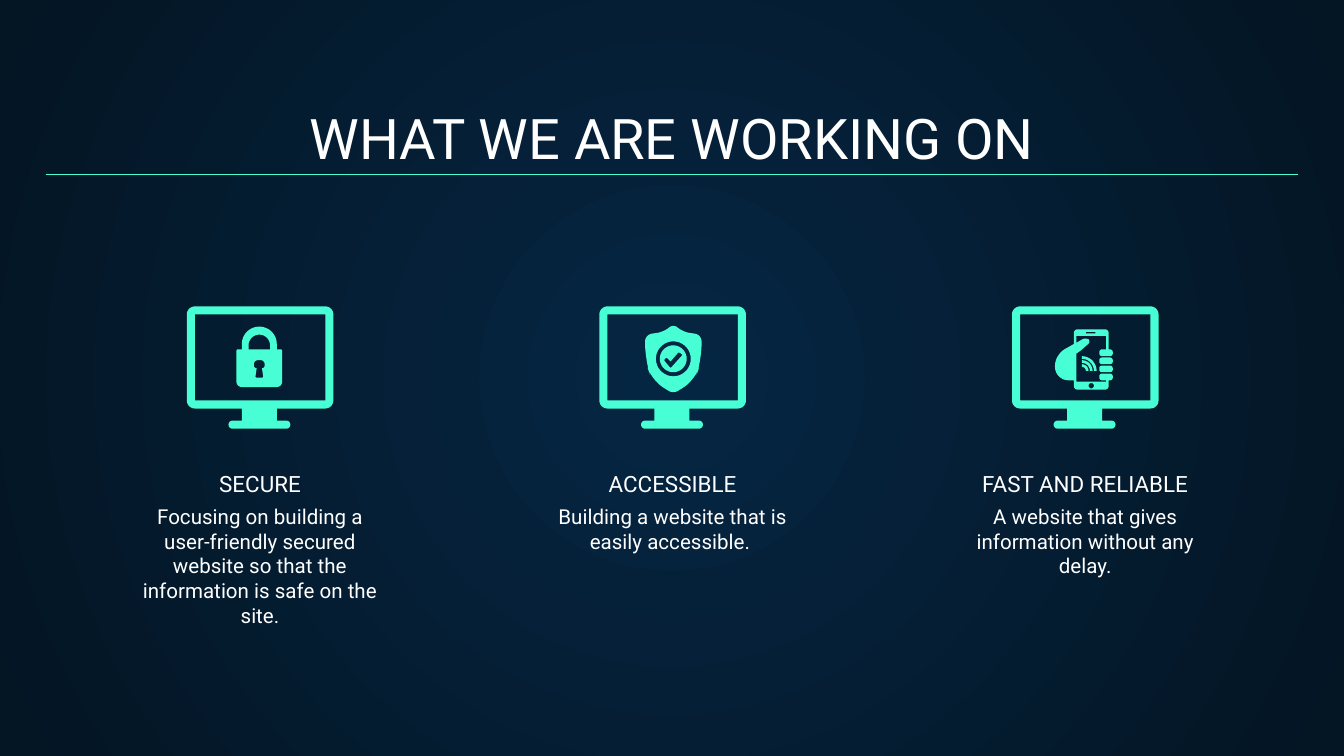
import math
from dataclasses import dataclass

import pptx
import pptx.dml.color
import pptx.enum.shapes
import pptx.enum.text
import pptx.oxml
import pptx.oxml.ns
import pptx.util
from pptx.util import Inches

Point = tuple[float, float]
Corner = tuple[float, float, float]
Contour = list[Point]


@dataclass(frozen=True)
class Theme:
    font: str = "Roboto"
    text: str = "FFFFFF"
    accent: str = "48FFD5"
    glow: str = "052643"
    edge: str = "041523"
    title_size: float = 30
    heading_size: float = 12
    body_size: float = 11
    rule_width: float = 0.75


@dataclass(frozen=True)
class Box:
    left: float
    top: float
    width: float
    height: float


@dataclass(frozen=True)
class Goal:
    heading: str
    body: str
    body_height: float
    symbols: list[list[Contour]]


THEME = Theme()
SLIDE_WIDTH = 10
SLIDE_HEIGHT = SLIDE_WIDTH * 9 / 16
COLUMN_PITCH = 3.07


def rgb(value: str) -> pptx.dml.color.RGBColor:
    return pptx.dml.color.RGBColor.from_string(value)


def rounded(corners: list[Corner], steps: int = 8) -> Contour:
    points: Contour = []
    for i, (x, y, radius) in enumerate(corners):
        if not radius:
            points.append((x, y))
            continue
        ends = []
        for nx, ny, _ in (corners[i - 1], corners[(i + 1) % len(corners)]):
            ratio = radius / math.hypot(nx - x, ny - y)
            ends.append((x + (nx - x) * ratio, y + (ny - y) * ratio))
        (ax, ay), (bx, by) = ends
        for step in range(steps + 1):
            angle = math.pi / 2 * step / steps
            u, v = 1 - math.sin(angle), 1 - math.cos(angle)
            points.append((x + (ax - x) * u + (bx - x) * v,
                           y + (ay - y) * u + (by - y) * v))
    return points


def block(x: float, y: float, w: float, h: float, r: float = 0) -> Contour:
    return rounded([(x, y, r), (x + w, y, r), (x + w, y + h, r), (x, y + h, r)])


def arc(x: float, y: float, r: float, start: int = 0, end: int = 360) -> Contour:
    angles = [math.radians(a) for a in range(start, end + 1, 10)]
    return [(x + r * math.cos(a), y + r * math.sin(a)) for a in angles]


def mirrored(half: list[Corner], axis: float) -> list[Corner]:
    return half + [(2 * axis - x, y, r) for x, y, r in reversed(half) if x != axis]


def wave(r: float) -> Contour:
    return arc(0.52, 0.48, r, -90, 0) + arc(0.52, 0.48, r - 0.02, -90, 0)[::-1]


MONITOR = [
    rounded([(0, 0, 0.06), (1.09, 0, 0.06), (1.09, 0.76, 0.06), (0.67, 0.76, 0),
             (0.67, 0.85, 0), (0.77, 0.85, 0.03), (0.77, 0.91, 0.03),
             (0.31, 0.91, 0.03), (0.31, 0.85, 0.03), (0.41, 0.85, 0),
             (0.41, 0.76, 0), (0, 0.76, 0.06)]),
    block(0.06, 0.06, 0.97, 0.64),
]
LOCK = [
    rounded(mirrored([(0.67, 0.15, 0.13), (0.67, 0.32, 0), (0.71, 0.32, 0.01),
                      (0.71, 0.6, 0.04)], 0.54)),
    rounded([(0.46, 0.32, 0), (0.46, 0.21, 0.08), (0.62, 0.21, 0.08), (0.62, 0.32, 0)]),
    rounded(mirrored([(0.58, 0.4, 0.03), (0.58, 0.46, 0.02), (0.56, 0.46, 0),
                      (0.57, 0.53, 0.01)], 0.54)),
]
SHIELD = [
    rounded(mirrored([(0.55, 0.13, 0.04), (0.62, 0.19, 0.05), (0.76, 0.21, 0.05),
                      (0.76, 0.4, 0.12), (0.71, 0.55, 0.1), (0.55, 0.65, 0.04)], 0.55)),
    arc(0.55, 0.39, 0.13),
]
CHECK = [
    arc(0.55, 0.39, 0.1),
    rounded([(0.59, 0.34, 0.01), (0.62, 0.36, 0.01), (0.53, 0.46, 0.01),
             (0.48, 0.4, 0.01), (0.5, 0.38, 0.01), (0.53, 0.41, 0)]),
]
PHONE = [
    rounded([(0.46, 0.17, 0.03), (0.72, 0.17, 0.03), (0.72, 0.32, 0), (0.7, 0.32, 0),
             (0.7, 0.22, 0), (0.48, 0.22, 0), (0.48, 0.27, 0), (0.55, 0.23, 0.03),
             (0.59, 0.26, 0.03), (0.51, 0.33, 0), (0.48, 0.35, 0), (0.48, 0.56, 0),
             (0.7, 0.56, 0), (0.7, 0.55, 0), (0.72, 0.55, 0), (0.72, 0.62, 0.03),
             (0.46, 0.62, 0.03), (0.46, 0.55, 0), (0.32, 0.55, 0.1),
             (0.32, 0.36, 0.08), (0.46, 0.28, 0)]),
    block(0.55, 0.19, 0.07, 0.01),
    arc(0.59, 0.59, 0.02),
    *[block(0.65, 0.32 + 0.06 * i, 0.1, 0.05, 0.02) for i in range(4)],
    *[wave(r) for r in (0.05, 0.08, 0.11)],
]

GOALS = [
    Goal("SECURE", "Focusing on building a user-friendly secured website so that "
         "the information is safe on the site.", 0.96, [LOCK]),
    Goal("ACCESSIBLE", "Building a website that is easily accessible. ", 0.55,
         [SHIELD, CHECK]),
    Goal("FAST AND RELIABLE", "A website that gives information without any delay.",
         0.55, [PHONE]),
]


def paint_background(s) -> None:
    fill = s.background.fill
    fill.gradient()
    for stop, color, position in zip(fill.gradient_stops, (THEME.glow, THEME.edge), (0, 1)):
        stop.color.rgb = rgb(color)
        stop.position = position
    qn = pptx.oxml.ns.qn
    grad = next(s.element.iter(qn("a:gradFill")))
    grad.remove(grad.find(qn("a:lin")))
    radial = pptx.oxml.parse_xml(
        f'<a:path {pptx.oxml.ns.nsdecls("a")} path="circle">'
        '<a:fillToRect l="50000" t="50000" r="50000" b="50000"/></a:path>')
    grad.find(qn("a:gsLst")).addnext(radial)


def write(sp, box: Box, text: str, size: float, anchor: str) -> None:
    for name in ("left", "top", "width", "height"):
        setattr(sp, name, Inches(getattr(box, name)))
    tf = sp.text_frame
    inset = Inches(0.1)
    frame_format = {
        "word_wrap": True,
        "auto_size": pptx.enum.text.MSO_AUTO_SIZE.NONE,
        "vertical_anchor": pptx.enum.text.MSO_ANCHOR[anchor],
        "margin_left": inset, "margin_right": inset,
        "margin_top": inset, "margin_bottom": inset,
    }
    for name, value in frame_format.items():
        setattr(tf, name, value)
    p = tf.paragraphs[0]
    p.alignment = pptx.enum.text.PP_ALIGN.CENTER
    r = p.add_run()
    r.text = text
    for name, value in {"name": THEME.font, "size": pptx.util.Pt(size)}.items():
        setattr(r.font, name, value)
    r.font.color.rgb = rgb(THEME.text)


def add_text(s, box: Box, text: str, size: float, anchor: str) -> None:
    write(s.shapes.add_textbox(0, 0, 0, 0), box, text, size, anchor)


def draw_icon(s, left: float, top: float, contours: list[Contour]) -> None:
    paths = [[(Inches(left + x), Inches(top + y)) for x, y in c] for c in contours]
    builder = s.shapes.build_freeform(*paths[0][0])
    for i, points in enumerate(paths):
        if i:
            builder.move_to(*points[0])
        builder.add_line_segments(points[1:], close=True)
    sp = builder.convert_to_shape()
    sp.shadow.inherit = False
    sp.fill.solid()
    sp.fill.fore_color.rgb = rgb(THEME.accent)
    sp.line.fill.background()


def draw_goal(s, goal: Goal, shift: float) -> None:
    add_text(s, Box(0.9 + shift, 3.65, 2.07, goal.body_height), goal.body,
             THEME.body_size, "TOP")
    add_text(s, Box(0.8 + shift, 3.59, 2.27, 0.21), goal.heading,
             THEME.heading_size, "BOTTOM")
    for contours in (MONITOR, *goal.symbols):
        draw_icon(s, 1.39 + shift, 2.28, contours)


def draw_rule(s) -> None:
    rule = s.shapes.add_connector(pptx.enum.shapes.MSO_CONNECTOR.STRAIGHT,
                                  Inches(0.34), Inches(1.3), Inches(9.66), Inches(1.3))
    rule.line.color.rgb = rgb(THEME.accent)
    rule.line.width = pptx.util.Pt(THEME.rule_width)
    effects = pptx.oxml.parse_xml(f'<a:effectLst {pptx.oxml.ns.nsdecls("a")}/>')
    rule.element.spPr.append(effects)


def main() -> None:
    prs = pptx.Presentation()
    prs.slide_width, prs.slide_height = Inches(SLIDE_WIDTH), Inches(SLIDE_HEIGHT)
    s = prs.slides.add_slide(prs.slide_layouts[5])
    paint_background(s)
    write(s.shapes.title, Box(0.34, 0.71, 9.32, 0.66), "WHAT WE ARE WORKING ON",
          THEME.title_size, "BOTTOM")
    for i, goal in enumerate(GOALS):
        draw_goal(s, goal, i * COLUMN_PITCH)
    draw_rule(s)
    prs.save("out.pptx")


if __name__ == "__main__":
    main()
